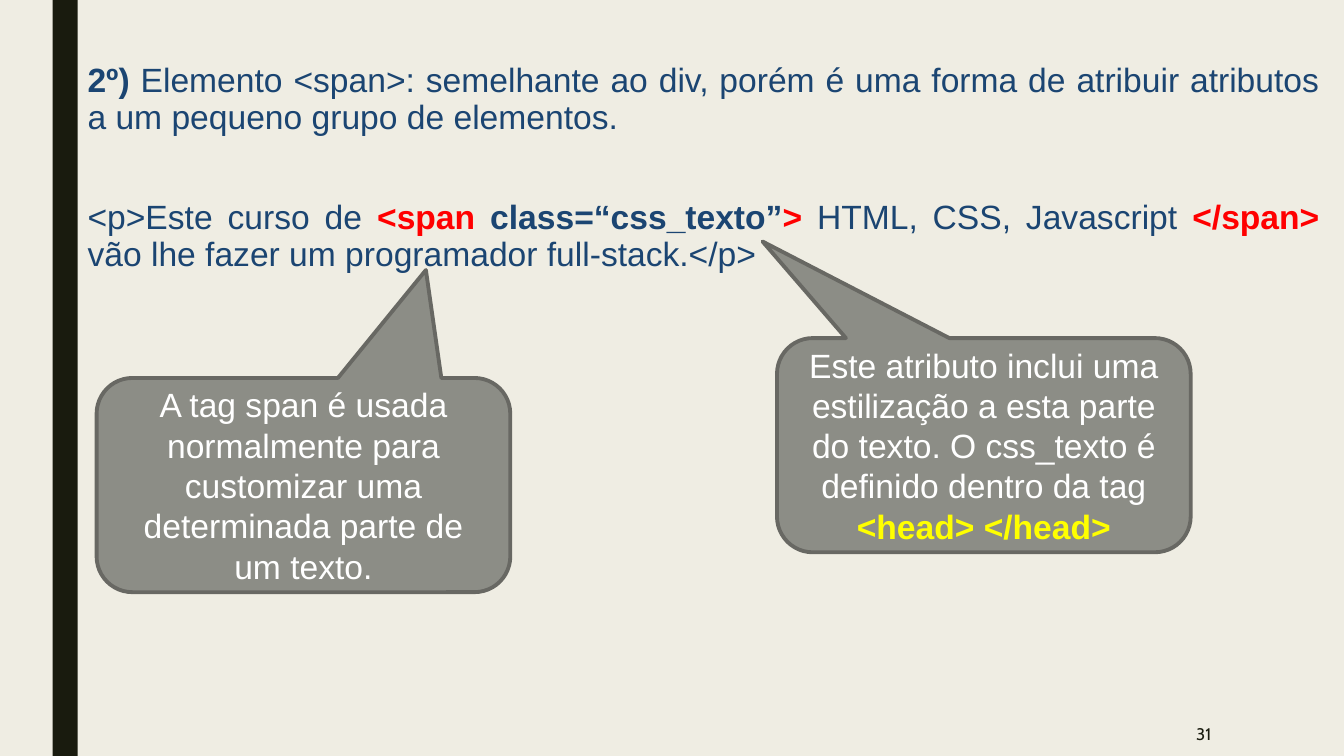
from dataclasses import dataclass

from pptx import Presentation
from pptx.dml.color import RGBColor
from pptx.enum.shapes import MSO_SHAPE as Preset
from pptx.enum.text import MSO_ANCHOR as Anchor, PP_ALIGN as Align
from pptx.shapes.autoshape import Shape
from pptx.slide import Slide
from pptx.text.text import _Paragraph as Paragraph
from pptx.util import Emu, Pt

PX = 9525
NAVY, RED, WHITE, YELLOW = "1B4572", "FF0000", "FFFFFF", "FFFF00"
INK, PAPER, GREY, OUTLINE = "191B0E", "EFEDE3", "8C8D86", "686863"


@dataclass(frozen=True)
class Span:
    """A stretch of text in one style."""
    text: str
    color: str
    bold: bool = False
    size: int = 24
    font: str = "Arial"


@dataclass(frozen=True)
class Callout:
    """A speech bubble whose tip is given relative to its size."""
    left: int
    top: int
    tip: tuple[float, float]
    spans: list[Span]


PARAGRAPHS = [
    [
        Span("2º) ", NAVY, True),
        Span("Elemento <span>: semelhante ao div, porém é uma forma de atribuir "
             "atributos a um pequeno grupo de elementos.", NAVY),
    ],
    [
        Span("<p>Este curso de ", NAVY),
        Span("<span ", RED, True),
        Span("class=“css_texto”", NAVY, True),
        Span(">", RED, True),
        Span(" HTML, CSS, Javascript ", NAVY),
        Span("</span>", RED, True),
        Span(" vão lhe fazer um programador full-stack.</p>", NAVY),
    ],
]

CALLOUTS = [
    Callout(740, 322, (-0.535, -0.951), [
        Span("Este atributo inclui uma estilização a esta parte do texto. "
             "O css_texto é definido dentro da tag ", WHITE),
        Span("<head> </head>", YELLOW, True),
    ]),
    Callout(92, 360, (0.296, -1.004), [
        Span("A tag span é usada normalmente para customizar uma "
             "determinada parte de um texto.", WHITE),
    ]),
]


def px(*lengths: int) -> list[Emu]:
    """Turn pixel lengths into EMU."""
    return [Emu(length * PX) for length in lengths]


def rgb(color: str) -> RGBColor:
    """Turn a hex string into a colour."""
    return RGBColor.from_string(color)


def write(para: Paragraph, spans: list[Span], align: Align) -> None:
    """Fill a paragraph with styled spans."""
    para.alignment = align
    for span in spans:
        run = para.add_run()
        run.text = span.text
        run.font.name = span.font
        run.font.size = Pt(span.size)
        run.font.bold = span.bold
        run.font.color.rgb = rgb(span.color)


def add_textbox(page: Slide, left: int, top: int, width: int, height: int) -> Shape:
    """Add an empty wrapping text box."""
    box = page.shapes.add_textbox(*px(left, top, width, height))
    box.text_frame.word_wrap = True
    return box


def add_filled(page: Slide, preset: Preset, bounds: tuple[int, int, int, int],
               color: str) -> Shape:
    """Add a preset shape with a plain fill and no shadow."""
    shape = page.shapes.add_shape(preset, *px(*bounds))
    shape.shadow.inherit = False
    shape.fill.solid()
    shape.fill.fore_color.rgb = rgb(color)
    return shape


def add_callout(page: Slide, callout: Callout) -> None:
    """Draw one speech bubble with its text."""
    bubble = add_filled(page, Preset.ROUNDED_RECTANGULAR_CALLOUT,
                        (callout.left, callout.top, 394, 204), GREY)
    for index, value in enumerate((*callout.tip, 0.167)):
        bubble.adjustments[index] = value
    bubble.line.color.rgb = rgb(OUTLINE)
    bubble.line.width = Pt(2.75)
    frame = bubble.text_frame
    frame.word_wrap = True
    frame.vertical_anchor = Anchor.MIDDLE
    write(frame.paragraphs[0], callout.spans, Align.CENTER)


def add_body(page: Slide) -> None:
    """Write the justified explanation and its code example."""
    frame = add_textbox(page, 74, 56, 1192, 209).text_frame
    for index, spans in enumerate(PARAGRAPHS):
        para = frame.add_paragraph() if index else frame.paragraphs[0]
        para.line_spacing = 0.9
        para.space_before = Pt(46 if index else 0)
        write(para, spans, Align.JUSTIFY)


def add_page_number(page: Slide) -> None:
    """Write the page number at the lower right."""
    frame = add_textbox(page, 995, 678, 168, 42).text_frame
    frame.vertical_anchor = Anchor.MIDDLE
    write(frame.paragraphs[0], [Span("31", INK, size=12, font="Cabin")], Align.RIGHT)


def main() -> None:
    """Build the slide and save it."""
    deck = Presentation()
    deck.slide_width, deck.slide_height = px(1280, 720)
    page = deck.slides.add_slide(deck.slide_layouts[6])
    page.background.fill.solid()
    page.background.fill.fore_color.rgb = rgb(PAPER)
    bar = add_filled(page, Preset.RECTANGLE, (50, 0, 24, 720), INK)
    bar.line.fill.background()
    add_body(page)
    for callout in CALLOUTS:
        add_callout(page, callout)
    add_page_number(page)
    deck.save("out.pptx")


if __name__ == "__main__":
    main()
